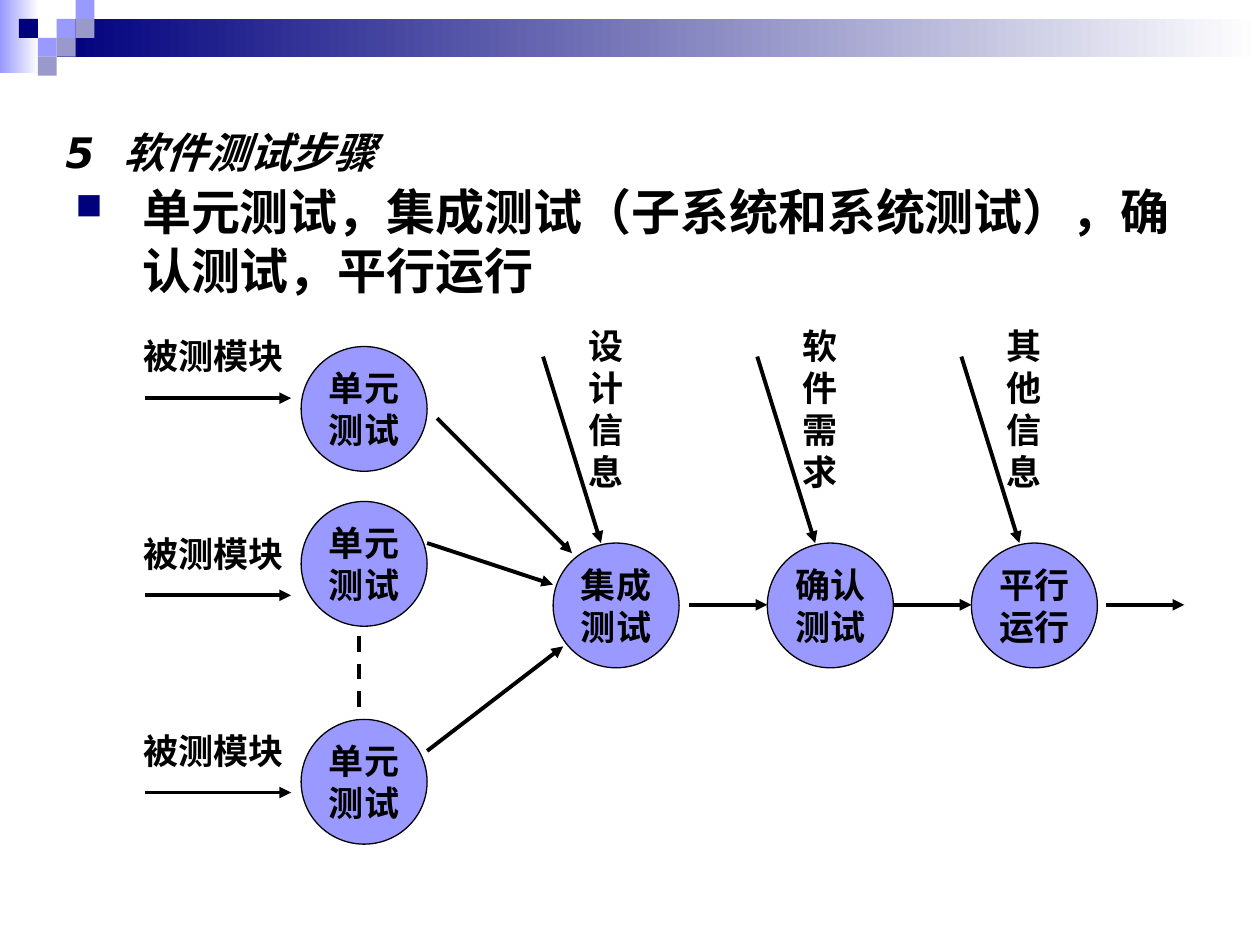
from dataclasses import dataclass

from lxml import etree
from pptx import Presentation
from pptx.dml.color import RGBColor
from pptx.enum.dml import MSO_LINE
from pptx.enum.shapes import MSO_CONNECTOR, MSO_SHAPE
from pptx.enum.text import MSO_ANCHOR, PP_ALIGN
from pptx.oxml.ns import qn
from pptx.util import Inches, Pt

RECT, OVAL = MSO_SHAPE.RECTANGLE, MSO_SHAPE.OVAL
STRAIGHT, DASH = MSO_CONNECTOR.STRAIGHT, MSO_LINE.DASH
LEFT, CENTER = PP_ALIGN.LEFT, PP_ALIGN.CENTER
TOP, MIDDLE = MSO_ANCHOR.TOP, MSO_ANCHOR.MIDDLE


@dataclass(frozen=True)
class Theme:
    navy: str = "00007D"
    violet: str = "9999FF"
    grey: str = "9999CC"
    white: str = "FFFFFF"
    ink: str = "000000"
    title_font: str = "DejaVu Sans"
    font: str = "Times New Roman"
    title: int = 24
    body: int = 28
    label: int = 20
    outline: float = 0.75
    arrow: float = 2.25


T = Theme()
CIRCLE_W, CIRCLE_H = 1, 0.99


def rgb(color):
    return RGBColor.from_string(color)


def write(tf, text, size=T.label, font=T.font, align=CENTER, anchor=MIDDLE,
          italic=False, wrap=False):
    """Fill a frame with bold text, one paragraph per line."""
    tf.word_wrap = wrap
    tf.vertical_anchor = anchor
    for i, line in enumerate(text.split("\n")):
        p = tf.paragraphs[0] if i == 0 else tf.add_paragraph()
        p.alignment = align
        add_run(p, line, size, font, italic)
    return tf.paragraphs[0]


def add_run(p, text, size, font, italic=False):
    r = p.add_run()
    r.text = text
    r.font.size, r.font.name = Pt(size), font
    r.font.bold, r.font.italic = True, italic
    r.font.color.rgb = rgb(T.ink)
    return r


def add_text(s, x, y, w, h, text, **fmt):
    box = s.shapes.add_textbox(Inches(x), Inches(y), Inches(w), Inches(h))
    return write(box.text_frame, text, **fmt)


def add_block(s, x, y, w, h, color, fade=False, kind=RECT):
    """Shape without outline, plain or fading to white."""
    sp = s.shapes.add_shape(kind, Inches(x), Inches(y), Inches(w), Inches(h))
    sp.shadow.inherit = False
    sp.line.fill.background()
    if fade:
        sp.fill.gradient()
        sp.fill.gradient_angle = 0
        for stop, c in zip(sp.fill.gradient_stops, (color, T.white)):
            stop.color.rgb = rgb(c)
    else:
        sp.fill.solid()
        sp.fill.fore_color.rgb = rgb(color)
    return sp


def add_circle(s, x, y, text):
    sp = add_block(s, x, y, CIRCLE_W, CIRCLE_H, T.violet, kind=OVAL)
    sp.line.color.rgb = rgb(T.ink)
    sp.line.width = Pt(T.outline)
    write(sp.text_frame, text)


def add_line(s, x1, y1, x2, y2, dashed=False):
    """Arrow, or a dashed line without a head."""
    cn = s.shapes.add_connector(STRAIGHT, Inches(x1), Inches(y1), Inches(x2), Inches(y2))
    cn.line.color.rgb = rgb(T.ink)
    cn.line.width = Pt(T.arrow)
    if dashed:
        cn.line.dash_style = DASH
    else:
        etree.SubElement(cn.line._get_or_add_ln(), qn("a:tailEnd"), type="triangle")
    etree.SubElement(cn._element.spPr, qn("a:effectLst"))


def add_bullet(p, indent):
    pPr = p._p.get_or_add_pPr()
    pPr.set("marL", str(Inches(indent)))
    pPr.set("indent", str(-Inches(indent)))
    color = etree.SubElement(pPr, qn("a:buClr"))
    etree.SubElement(color, qn("a:srgbClr"), val=T.navy)
    etree.SubElement(pPr, qn("a:buSzPct"), val="75000")
    etree.SubElement(pPr, qn("a:buChar"), char="■")


def draw_banner(s):
    add_block(s, 0, 0, 0.31, 0.58, T.violet, fade=True)
    add_block(s, 0.45, 0.15, 9.55, 0.3, T.navy, fade=True)
    cell = 0.15
    squares = [(3, 1, T.violet), (4, 0, T.violet), (4, 1, T.grey), (2, 2, T.violet),
               (1, 1, T.navy), (3, 2, T.grey), (2, 3, T.grey)]
    for col, row, color in squares:
        add_block(s, col * cell, row * cell, cell, cell, color)


def draw_heading(s):
    p = add_text(s, 0.42, 1, 2.83, 0.46, "5", size=T.title, font=T.title_font,
                 align=LEFT, italic=True)
    p.line_spacing = 0.9
    gap = add_run(p, " ", T.title, T.title_font, True)
    gap.font._element.set("spc", "840")  # widen the gap after the number
    add_run(p, "软件测试步骤", T.title, T.title_font, True)

    p = add_text(s, 0.5, 1.39, 9, 5.36,
                 "单元测试，集成测试（子系统和系统测试），确认测试，平行运行",
                 size=T.body, align=LEFT, anchor=TOP, wrap=True)
    add_bullet(p, 0.53)


def draw_unit_tests(s):
    for i, y in enumerate((2.75, 3.98, 5.71)):
        add_circle(s, 2.39, y, "单元\n测试")
        label_y = 2.58 + i * 1.565
        add_text(s, 1, label_y, 1.39, 0.49, "被测模块")
        add_line(s, 1.15, label_y + 0.58, 2.31, label_y + 0.58)
    add_line(s, 2.85, 5.05, 2.85, 5.63, dashed=True)
    # Unit tests feed the integration test
    for ends in ((3.47, 3.32, 4.54, 4.39), (3.39, 4.31, 4.39, 4.64),
                 (3.39, 5.96, 4.47, 5.13)):
        add_line(s, *ends)


def draw_later_stages(s):
    y = 4.31
    stages = [(4.39, "集成\n测试", "设计信息"), (6.09, "确认\n测试", "软件需求"),
              (7.71, "平行\n运行", "其他信息")]
    for x, name, source in stages:
        add_circle(s, x, y, name)
        add_line(s, x - 0.08, 2.83, x + 0.38, y)
        add_text(s, x + 0.15, 2.42, 0.54, 1.65, "\n".join(source))
    for x in (5.47, 7.09, 8.78):
        add_line(s, x, 4.8, x + 0.62, 4.8)


def main():
    prs = Presentation()
    prs.slide_width, prs.slide_height = Inches(10), Inches(7.5)
    s = prs.slides.add_slide(prs.slide_layouts[6])
    draw_banner(s)
    draw_heading(s)
    draw_unit_tests(s)
    draw_later_stages(s)
    prs.save("out.pptx")


if __name__ == "__main__":
    main()
